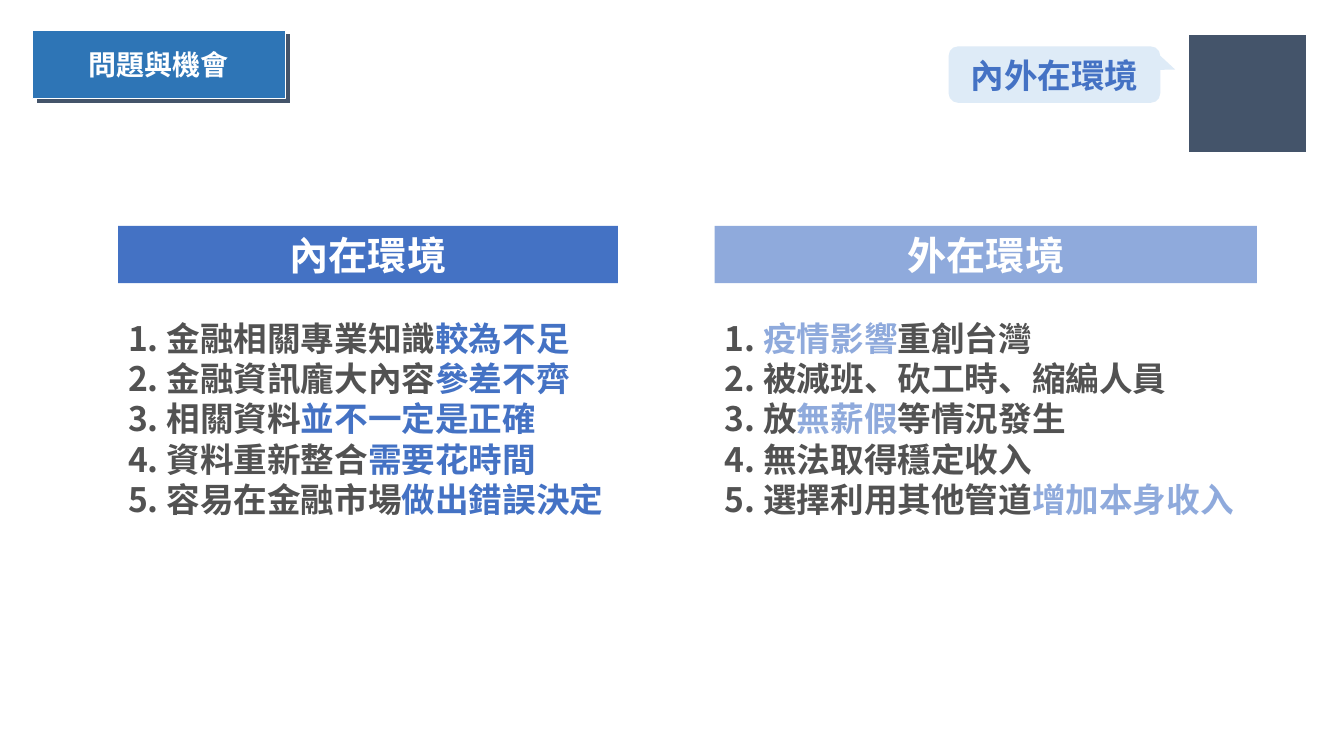
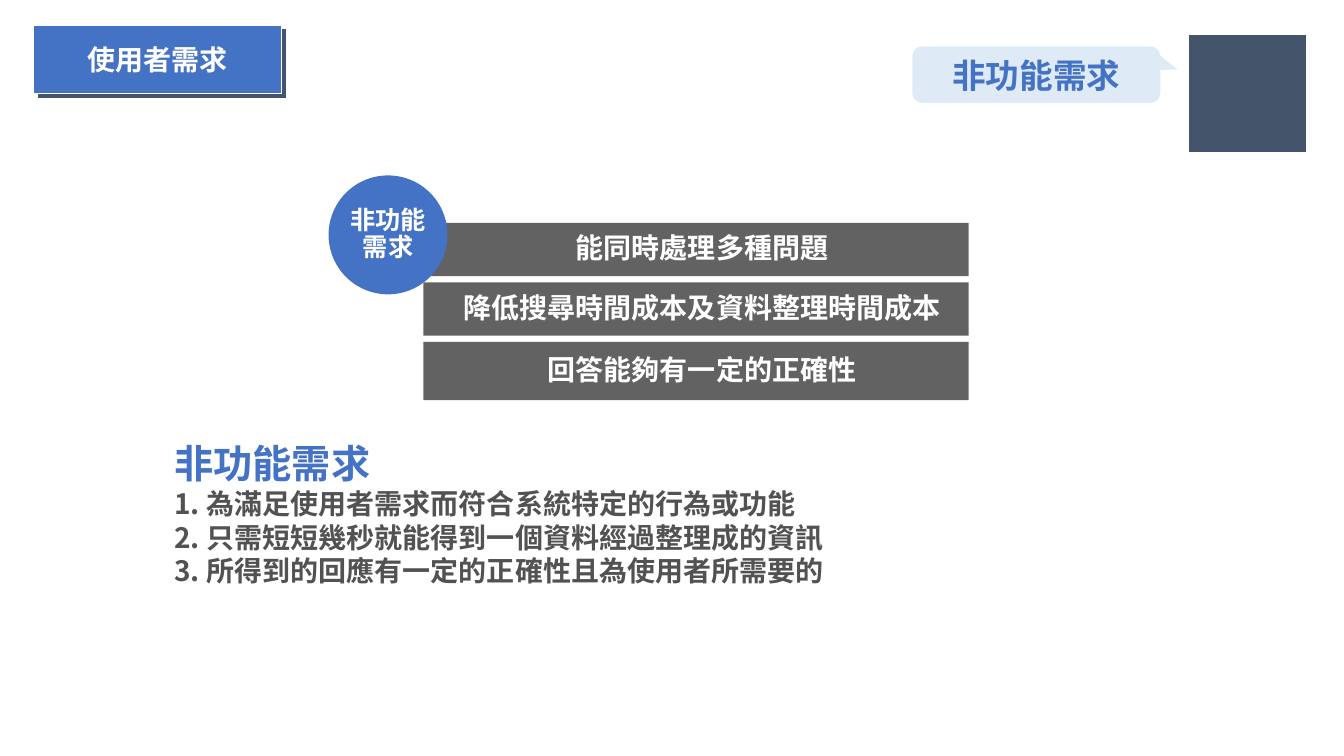
from lxml.etree import SubElement
from pptx import Presentation
from pptx.dml.color import RGBColor
from pptx.enum.shapes import MSO_SHAPE as Preset
from pptx.enum.text import MSO_ANCHOR as Anchor, MSO_AUTO_SIZE as AutoSize, PP_ALIGN as Align
from pptx.oxml.ns import qn
from pptx.util import Inches, Pt

# Shared style
FONT = "Noto Sans CJK SC"
WIDTH, HEIGHT = Inches(13.33), Inches(7.5)
WHITE, GREY, NAVY = "FFFFFF", "525252", "44546A"
BLUE, LIGHT_BLUE, TAG_BLUE, PALE = "4472C4", "8FAADC", "2E75B6", "DEEBF7"
TWO_LISTS, ONE_LIST = 3, 1  # layout indexes


def color(hex_string):
    return RGBColor.from_string(hex_string)


def place(left, top, width, height):
    """Turn percentages of the slide's size into lengths."""
    return (int(WIDTH * left / 100), int(HEIGHT * top / 100),
            int(WIDTH * width / 100), int(HEIGHT * height / 100))


def move(shape, box):
    shape.left, shape.top, shape.width, shape.height = place(*box)


def paint(shape, fill, opacity=100):
    shape.fill.solid()
    shape.fill.fore_color.rgb = color(fill)
    if opacity < 100:
        tone = shape.fill._xPr.find(qn("a:solidFill"))[0]
        SubElement(tone, qn("a:alpha"), val=str(opacity * 1000))


def add_run(paragraph, text, size, hex_string):
    run = paragraph.add_run()
    run.text = text
    font = run.font
    font.size, font.bold, font.name = Pt(size), True, FONT
    font.color.rgb = color(hex_string)
    SubElement(run._r.get_or_add_rPr(), qn("a:ea"), typeface=FONT)


def set_label(shape, text, size, hex_string, spacing=1.0):
    """Write one centred line of text."""
    frame = shape.text_frame
    frame.word_wrap = True
    frame.auto_size = AutoSize.NONE
    frame.vertical_anchor = Anchor.MIDDLE
    paragraph = frame.paragraphs[0]
    paragraph.alignment = Align.CENTER
    paragraph.line_spacing = spacing
    add_run(paragraph, text, size, hex_string)


def add_block(slide, preset, box, fill, opacity=100):
    shape = slide.shapes.add_shape(preset, *place(*box))
    shape.shadow.inherit = False
    paint(shape, fill, opacity)
    shape.line.fill.background()
    return shape


def fill_list(placeholder, box, lines):
    """Each line is a list of (text, size, colour) runs."""
    move(placeholder, box)
    frame = placeholder.text_frame
    frame.word_wrap = True
    frame.auto_size = AutoSize.NONE
    for number, runs in enumerate(lines):
        paragraph = frame.add_paragraph() if number else frame.paragraphs[0]
        paragraph.space_before = Pt(0)
        properties = paragraph._p.get_or_add_pPr()
        properties.set("marL", "0")
        properties.set("indent", "0")
        SubElement(properties, qn("a:buNone"))
        for run in runs:
            add_run(paragraph, *run)


def add_header(slide, title, title_box, title_fill, topic, topic_width):
    # Title tag with its offset backing
    left, top, width, height = title_box
    add_block(slide, Preset.FLOWCHART_PROCESS, (left + 0.38, top + 0.53, width, height), NAVY)
    tag = slide.shapes.title
    move(tag, title_box)
    paint(tag, title_fill)
    tag.line.color.rgb = color(WHITE)
    tag.line.width = Pt(1)
    set_label(tag, title, 20, WHITE)
    slide.shapes.element.append(tag.element)  # in front of the backing

    # Corner square and the callout beside it
    add_block(slide, Preset.FLOWCHART_PROCESS, (88.5, 4.67, 8.7, 15.47), NAVY)
    callout = add_block(slide, Preset.ROUNDED_RECTANGULAR_CALLOUT,
                        (86.33 - topic_width, 6.13, topic_width, 7.47), PALE)
    for index, value in enumerate((0.57, -0.09, 0.17)):
        callout.adjustments[index] = value
    set_label(callout, topic, 24, BLUE)


def add_environment_column(slide, placeholder, left, width, heading, accent, lines):
    """A heading bar over a list whose odd-numbered pieces are accented."""
    bar = add_block(slide, Preset.RECTANGLE, (left, 29.87, width, 7.6), accent)
    set_label(bar, heading, 28, WHITE)
    runs = [[(text, 24, accent if index % 2 else GREY)
             for index, text in enumerate(pieces)] for pieces in lines]
    fill_list(placeholder, (left, 41.33, width, 28.27), runs)


def build_environment(presentation):
    slide = presentation.slides.add_slide(presentation.slide_layouts[TWO_LISTS])
    add_header(slide, "問題與機會", (2.4, 4, 18.83, 9.07), TAG_BLUE, "內外在環境", 15.75)
    add_environment_column(slide, slide.placeholders[1], 8.78, 37.2, "內在環境", BLUE, [
        ("1. 金融相關專業知識", "較為不足"),
        ("2. 金融資訊龐大內容", "參差不齊"),
        ("3. 相關資料", "並不一定是正確"),
        ("4. 資料重新整合", "需要花時間"),
        ("5. 容易在金融市場", "做出錯誤決定"),
    ])
    add_environment_column(slide, slide.placeholders[2], 53.18, 40.35, "外在環境", LIGHT_BLUE, [
        ("1. ", "疫情影響", "重創台灣"),
        ("2. 被減班、砍工時、縮編人員",),
        ("3. 放", "無薪假", "等情況發生"),
        ("4. 無法取得穩定收入",),
        ("5. 選擇利用其他管道", "增加本身收入"),
    ])


def build_requirements(presentation):
    slide = presentation.slides.add_slide(presentation.slide_layouts[ONE_LIST])
    topic = "非功能需求"
    add_header(slide, "使用者需求", (2.48, 3.33, 18.45, 9.07), BLUE, topic, 18.45)

    # Stacked bars
    bars = [("能同時處理多種問題", 7.07), ("降低搜尋時間成本及資料整理時間成本", 7.07),
            ("回答能夠有一定的正確性", 7.73)]
    for row, (text, height) in enumerate(bars):
        bar = add_block(slide, Preset.RECTANGLE,
                        (31.5, 29.47 + row * 7.87, 40.58, height), GREY, 90)
        bar.text_frame.margin_left, bar.text_frame.margin_right = Inches(0.32), Inches(0.2)
        set_label(bar, text, 20, WHITE, 0.9)

    # Circle over the corner of the stack
    circle = add_block(slide, Preset.OVAL, (24.45, 23.2, 8.85, 15.73), BLUE)
    frame = circle.text_frame
    frame.margin_left = frame.margin_right = frame.margin_top = frame.margin_bottom = 0
    set_label(circle, topic, 18, WHITE, 0.9)

    # Explanation
    points = ["1. 為滿足使用者需求而符合系統特定的行為或功能",
              "2. 只需短短幾秒就能得到一個資料經過整理成的資訊",
              "3. 所得到的回應有一定的正確性且為使用者所需要的"]
    fill_list(slide.placeholders[1], (12.23, 57.47, 78.83, 21.07),
              [[(topic, 28, BLUE)]] + [[(point, 20, GREY)] for point in points])


def main():
    presentation = Presentation()
    presentation.slide_width, presentation.slide_height = WIDTH, HEIGHT
    build_environment(presentation)
    build_requirements(presentation)
    presentation.save("out.pptx")


if __name__ == "__main__":
    main()
